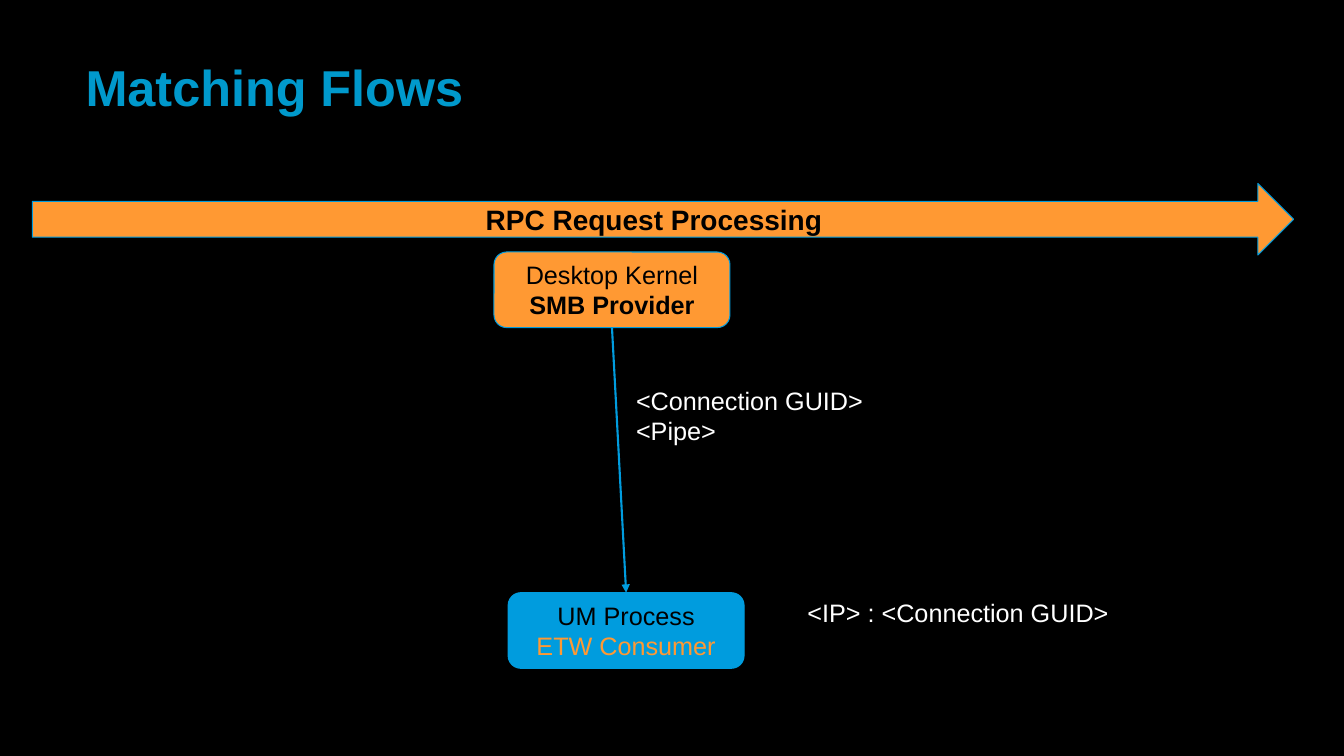
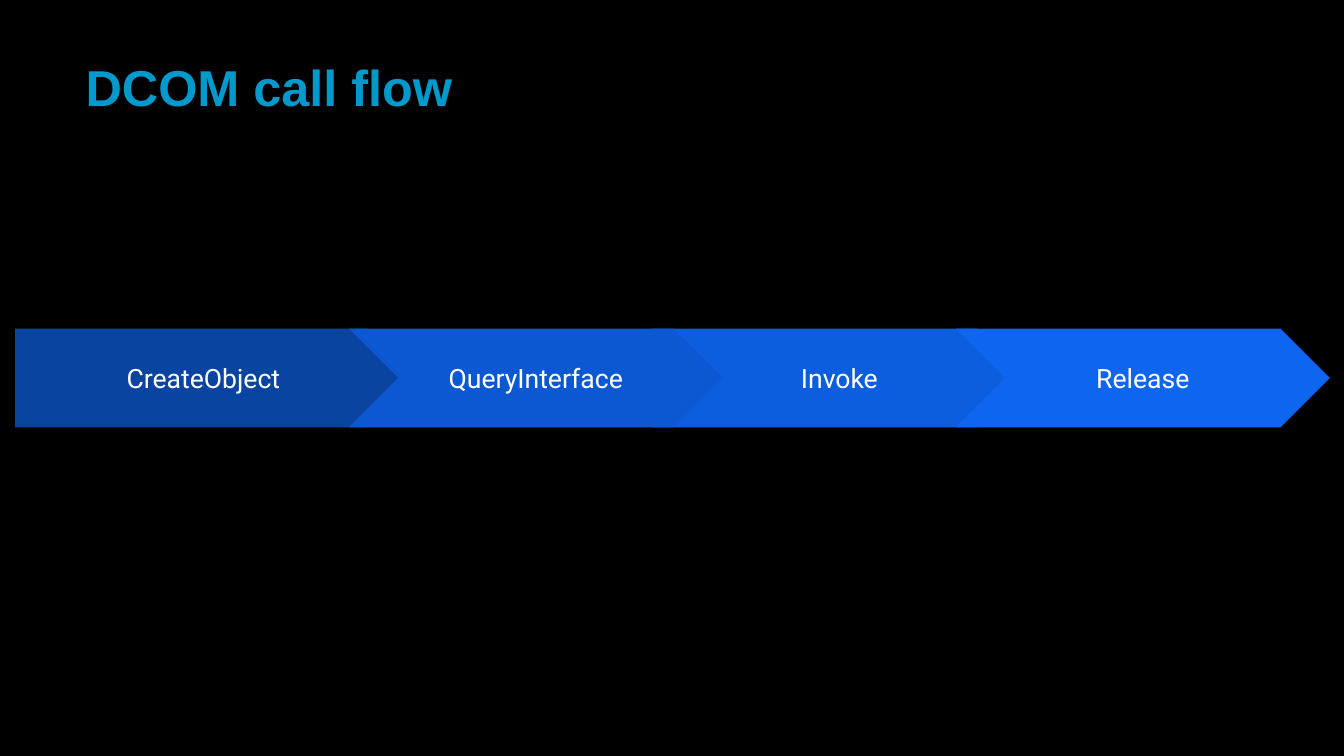
from lxml import etree
from pptx import Presentation
from pptx import util as u
from pptx.dml.color import RGBColor
from pptx.enum import shapes, text
from pptx.oxml.ns import qn

BLACK = RGBColor(0x00, 0x00, 0x00)
WHITE = RGBColor(0xFF, 0xFF, 0xFF)
TITLE_BLUE = RGBColor(0x00, 0x99, 0xCC)
FLOW_BLUE = RGBColor(0x00, 0x9C, 0xDE)
ORANGE = RGBColor(0xFF, 0x99, 0x33)
CREATE_BLUE = RGBColor(0x09, 0x44, 0xA1)
QUERY_BLUE = RGBColor(0x0C, 0x58, 0xD3)
INVOKE_BLUE = RGBColor(0x0D, 0x5D, 0xDF)
RELEASE_BLUE = RGBColor(0x0E, 0x65, 0xF0)

LEFT, CENTER = text.PP_ALIGN.LEFT, text.PP_ALIGN.CENTER
TOP, MIDDLE = text.MSO_ANCHOR.TOP, text.MSO_ANCHOR.MIDDLE
PRESET = shapes.MSO_SHAPE


def inches(box):
    """Turn a box of numbers into lengths."""
    return [u.Inches(value) for value in box]


def write(shape, lines, size=18, color=BLACK, bold=False, font="Arial",
          align=CENTER, anchor=MIDDLE, inset=0.1):
    """Write lines, each a text with its own format changes, in one paragraph."""
    frame = shape.text_frame
    frame.word_wrap = True
    frame.vertical_anchor = anchor
    frame.margin_left = frame.margin_right = u.Inches(inset)
    frame.margin_top = frame.margin_bottom = u.Inches(inset)
    paragraph = frame.paragraphs[0]
    paragraph.alignment = align
    for index, (line, changes) in enumerate(lines):
        if index:
            paragraph.add_line_break()
        run = paragraph.add_run()
        run.text = line
        run.font.name = font
        run.font.size = u.Pt(size)
        run.font.bold = changes.get("bold", bold)
        run.font.color.rgb = changes.get("color", color)


def add_label(slide, box, *lines, **style):
    """Add a left-aligned text box."""
    label = slide.shapes.add_textbox(*inches(box))
    write(label, [(line, {}) for line in lines], align=LEFT, **style)


def add_block(slide, preset, box, fill, lines, outline=None, **style):
    """Add a filled preset shape with centred text."""
    block = slide.shapes.add_shape(preset, *inches(box))
    block.shadow.inherit = False
    block.fill.solid()
    block.fill.fore_color.rgb = fill
    if outline is None:
        block.line.fill.background()
    else:
        block.line.color.rgb = outline
        block.line.width = u.Pt(0.75)
    write(block, lines, **style)
    return block


def add_arrow(slide, source, target):
    """Connect the bottom of one block to the top of another."""
    arrow = slide.shapes.add_connector(shapes.MSO_CONNECTOR.STRAIGHT, 0, 0, 0, 0)
    arrow.begin_connect(source, 2)
    arrow.end_connect(target, 0)
    arrow.line.color.rgb = FLOW_BLUE
    arrow.line.width = u.Pt(1.5)
    etree.SubElement(arrow.line._get_or_add_ln(), qn("a:tailEnd"), type="triangle")
    etree.SubElement(arrow._element.spPr, qn("a:effectLst"))


def add_slide(presentation, title):
    """Add a black slide with its title."""
    slide = presentation.slides.add_slide(presentation.slide_layouts[6])
    slide.background.fill.solid()
    slide.background.fill.fore_color.rgb = BLACK
    add_label(slide, (0.75, 0.61, 12.17, 0.5), title,
              size=36, color=TITLE_BLUE, bold=True, anchor=MIDDLE)
    return slide


def add_matching(slide, box):
    """Draw the request arrow, the provider and its consumer."""
    left, top, width, height = box
    block_size = (2.34, 0.75)
    add_block(slide, PRESET.RIGHT_ARROW, (left, top, width, 0.71), ORANGE,
              [("RPC Request Processing", {})], FLOW_BLUE, size=20, bold=True)
    provider = add_block(
        slide, PRESET.ROUNDED_RECTANGLE, (left + 4.58, top + 0.68, *block_size),
        ORANGE, [("Desktop Kernel", {}), ("SMB Provider", {"bold": True})], FLOW_BLUE)
    consumer = add_block(
        slide, PRESET.ROUNDED_RECTANGLE,
        (left + 4.72, top + height - block_size[1], *block_size),
        FLOW_BLUE, [("UM Process", {}), ("ETW Consumer", {"color": ORANGE})], FLOW_BLUE)
    add_label(slide, (left + 7.59, top + height - 0.8, 3.25, 0.5),
              "<IP> : <Connection GUID>", color=WHITE, anchor=TOP)
    add_arrow(slide, provider, consumer)
    add_label(slide, (left + 5.89, top + 1.9, 3.25, 0.81),
              "<Connection GUID>", "<Pipe>", color=WHITE, anchor=TOP)


def add_call_chain(slide, box):
    """Draw the calls as a band of interlocking chevrons."""
    left, top, width, height = box
    style = dict(size=19, color=WHITE, font="Roboto", inset=0.13)
    chevron_width, step = 3.71, 3.01
    first_chevron = left + width - chevron_width - 2 * step
    add_block(slide, PRESET.PENTAGON, (left, top, 3.98, height), CREATE_BLUE,
              [("CreateObject", {})], **style)
    calls = [(1, "Invoke", INVOKE_BLUE), (2, "Release", RELEASE_BLUE),
             (0, "QueryInterface", QUERY_BLUE)]
    for position, name, fill in calls:
        chevron_box = (first_chevron + position * step, top, chevron_width, height)
        add_block(slide, PRESET.CHEVRON, chevron_box, fill, [(name, {})], **style)


def main():
    """Build and save the presentation."""
    presentation = Presentation()
    presentation.slide_width = u.Inches(13.33)
    presentation.slide_height = u.Inches(7.5)
    add_matching(add_slide(presentation, "Matching Flows"), (0.32, 1.82, 12.51, 4.81))
    add_call_chain(add_slide(presentation, "DCOM call flow"), (0.15, 3.26, 13.04, 0.98))
    presentation.save("out.pptx")


if __name__ == "__main__":
    main()
